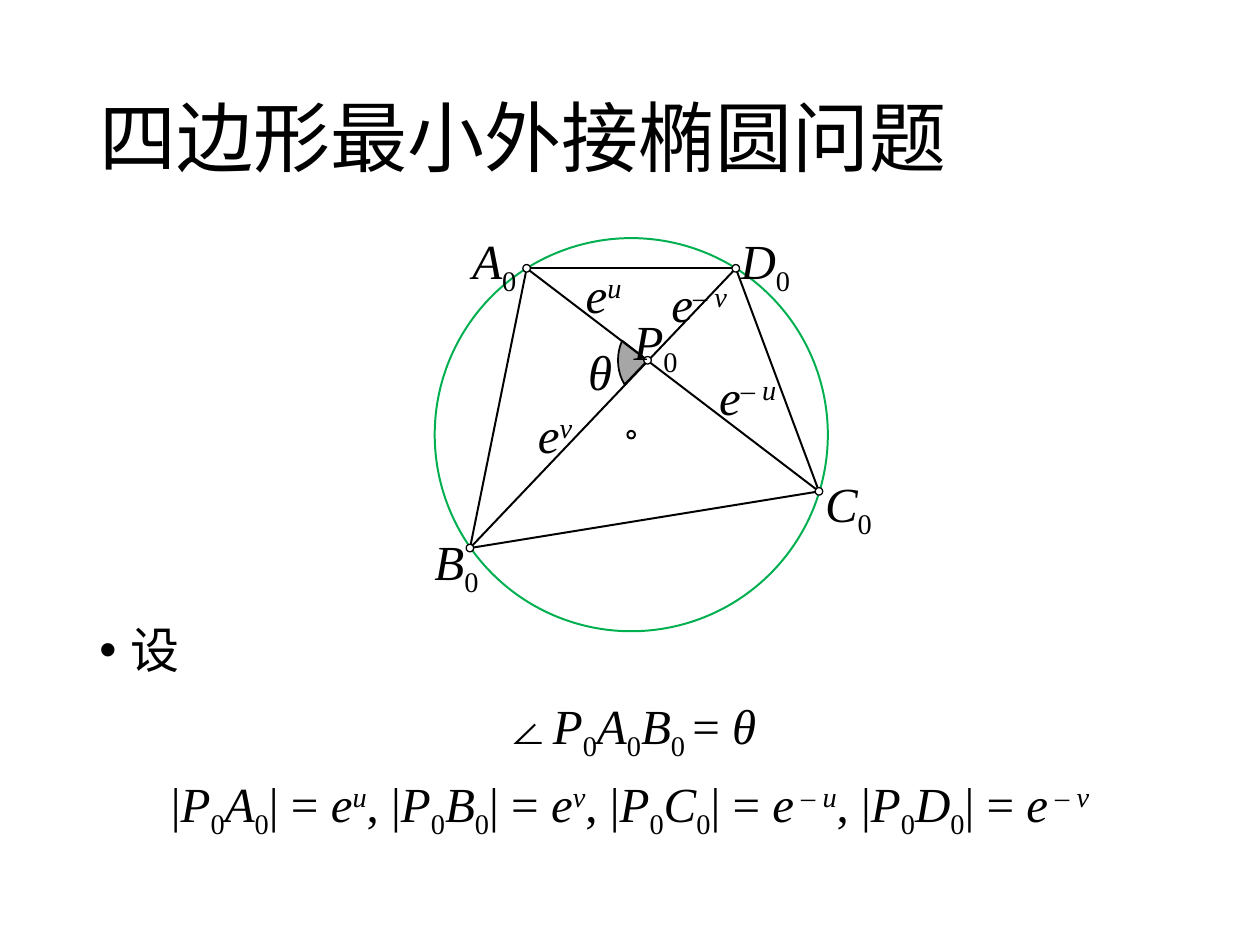
from itertools import groupby

from lxml import etree
from pptx import Presentation
from pptx.dml.color import RGBColor
from pptx.enum.shapes import MSO_CONNECTOR, MSO_SHAPE
from pptx.enum.text import MSO_ANCHOR, MSO_AUTO_SIZE, PP_ALIGN
from pptx.oxml.ns import qn
from pptx.util import Inches, Pt

ELLIPSE, PIE = MSO_SHAPE.OVAL, MSO_SHAPE.PIE
STRAIGHT = MSO_CONNECTOR.STRAIGHT
TOP, MIDDLE = MSO_ANCHOR.TOP, MSO_ANCHOR.MIDDLE
LEFT, CENTER = PP_ALIGN.LEFT, PP_ALIGN.CENTER
FIT_SHAPE = MSO_AUTO_SIZE.SHAPE_TO_FIT_TEXT

BASELINES = {"_": -25000, "^": 30000, "}": 0}

POINTS = {
    "A": (4.18, 2.13),
    "B": (3.73, 4.35),
    "C": (6.5, 3.9),
    "D": (5.84, 2.13),
    "P": (5.14, 2.86),
}
CENTRE = (5.01, 3.45)
SEGMENTS = ["AB", "BC", "CD", "DA", "AC", "DB"]
LABELS = [
    ("θ", 4.57, 2.66, 0.39),
    ("e^u", 4.55, 2.05, 0.51),
    ("e^– u", 5.61, 2.86, 0.7),
    ("e^– v", 5.23, 2.12, 0.7),
    ("e^v", 4.17, 3.16, 0.49),
    ("A_0", 3.65, 1.78, 0.57),
    ("B_0", 3.35, 4.17, 0.57),
    ("C_0", 6.45, 3.71, 0.59),
    ("D_0", 5.78, 1.78, 0.62),
    ("P_0", 4.93, 2.42, 0.57),
]
ANGLE = "∠P_0}A_0}B_0 }= θ"
LENGTHS = (
    "|P_0}A_0}| = e^u}, |P_0}B_0}| = e^v}, "
    "|P_0}C_0}| = e^ – u}, |P_0}D_0}| = e^ – v"
)


def color(value):
    return RGBColor.from_string(value)


class Diagram:
    ink = "000000"
    latin = "Times New Roman"
    asian = "Noto Sans CJK SC"
    thin, thick = 0.75, 1.13

    def __init__(self, slide):
        self.slide = slide

    def shape(self, kind, centre, radius_x, radius_y, fill=None, line=ink, width=thin):
        x, y = centre
        shape = self.slide.shapes.add_shape(
            kind, Inches(x - radius_x), Inches(y - radius_y),
            Inches(2 * radius_x), Inches(2 * radius_y),
        )
        shape.shadow.inherit = False
        if fill:
            shape.fill.solid()
            shape.fill.fore_color.rgb = color(fill)
        else:
            shape.fill.background()
        shape.line.color.rgb = color(line)
        shape.line.width = Pt(width)
        return shape

    def dot(self, centre, width=thin):
        self.shape(ELLIPSE, centre, 0.03, 0.03, "FFFFFF", width=width)

    def segment(self, start, end):
        connector = self.slide.shapes.add_connector(
            STRAIGHT, *(Inches(value) for value in start + end)
        )
        connector.line.color.rgb = color(self.ink)
        connector.line.width = Pt(self.thick)
        etree.SubElement(connector._element.spPr, qn("a:effectLst"))

    def text_frame(self, left, top, width, height, anchor=TOP, wrap=True):
        box = self.slide.shapes.add_textbox(
            Inches(left), Inches(top), Inches(width), Inches(height)
        )
        frame = box.text_frame
        frame.word_wrap = wrap
        frame.vertical_anchor = anchor
        return frame

    def style(self, paragraph, size=28, latin=latin):
        font = paragraph.font
        font.size = Pt(size)
        font.color.rgb = color(self.ink)
        font.name = latin
        defaults = paragraph._p.pPr.find(qn("a:defRPr"))
        etree.SubElement(defaults, qn("a:ea"), typeface=self.asian)

    def formula(self, paragraph, markup):
        baseline = 0
        letters = []
        for letter in markup:
            if letter in BASELINES:
                baseline = BASELINES[letter]
            else:
                letters.append((letter, baseline, letter.isalpha()))
        for (baseline, italic), group in groupby(letters, lambda item: item[1:]):
            run = paragraph.add_run()
            run.text = "".join(item[0] for item in group)
            run.font.italic = italic
            if baseline:
                run._r.get_or_add_rPr().set("baseline", str(baseline))
        self.style(paragraph)

    def label(self, markup, left, top, width):
        frame = self.text_frame(left, top, width, 0.57, wrap=False)
        frame.auto_size = FIT_SHAPE
        self.formula(frame.paragraphs[0], markup)

    def title(self, text):
        frame = self.text_frame(0.69, 0.4, 8.62, 1.45, MIDDLE)
        paragraph = frame.paragraphs[0]
        paragraph.text = text
        paragraph.line_spacing = 0.9
        self.style(paragraph, 44, self.asian)

    def body(self, heading, formulas):
        frame = self.text_frame(0.69, 4.92, 8.62, 1.84)
        paragraph = frame.paragraphs[0]
        paragraph.text = heading
        paragraph.alignment = LEFT
        paragraph.line_spacing = 0.9
        properties = paragraph._p.get_or_add_pPr()
        properties.set("marL", str(Inches(0.25)))
        properties.set("indent", str(Inches(-0.25)))
        etree.SubElement(properties, qn("a:buFont"), typeface="Arial")
        etree.SubElement(properties, qn("a:buChar"), char="•")
        self.style(paragraph)
        for markup in formulas:
            paragraph = frame.add_paragraph()
            paragraph.alignment = CENTER
            paragraph.line_spacing = 0.9
            paragraph.space_before = Pt(10)
            self.formula(paragraph, markup)


def main():
    presentation = Presentation()
    presentation.slide_width = Inches(10)
    presentation.slide_height = Inches(7.5)
    diagram = Diagram(presentation.slides.add_slide(presentation.slide_layouts[6]))

    angle = diagram.shape(PIE, POINTS["P"], 0.235, 0.305, "A6A6A6", width=1)
    angle.adjustments[0] = 80.23
    angle.adjustments[1] = 130.63

    diagram.title("四边形最小外接椭圆问题")
    diagram.body("设", [ANGLE, LENGTHS])

    diagram.shape(ELLIPSE, CENTRE, 1.56, 1.56, line="00B050", width=diagram.thick)
    for start, end in SEGMENTS:
        diagram.segment(POINTS[start], POINTS[end])
    diagram.dot(CENTRE, diagram.thick)
    for point in POINTS.values():
        diagram.dot(point)
    for label in LABELS:
        diagram.label(*label)

    presentation.save("out.pptx")


if __name__ == "__main__":
    main()
